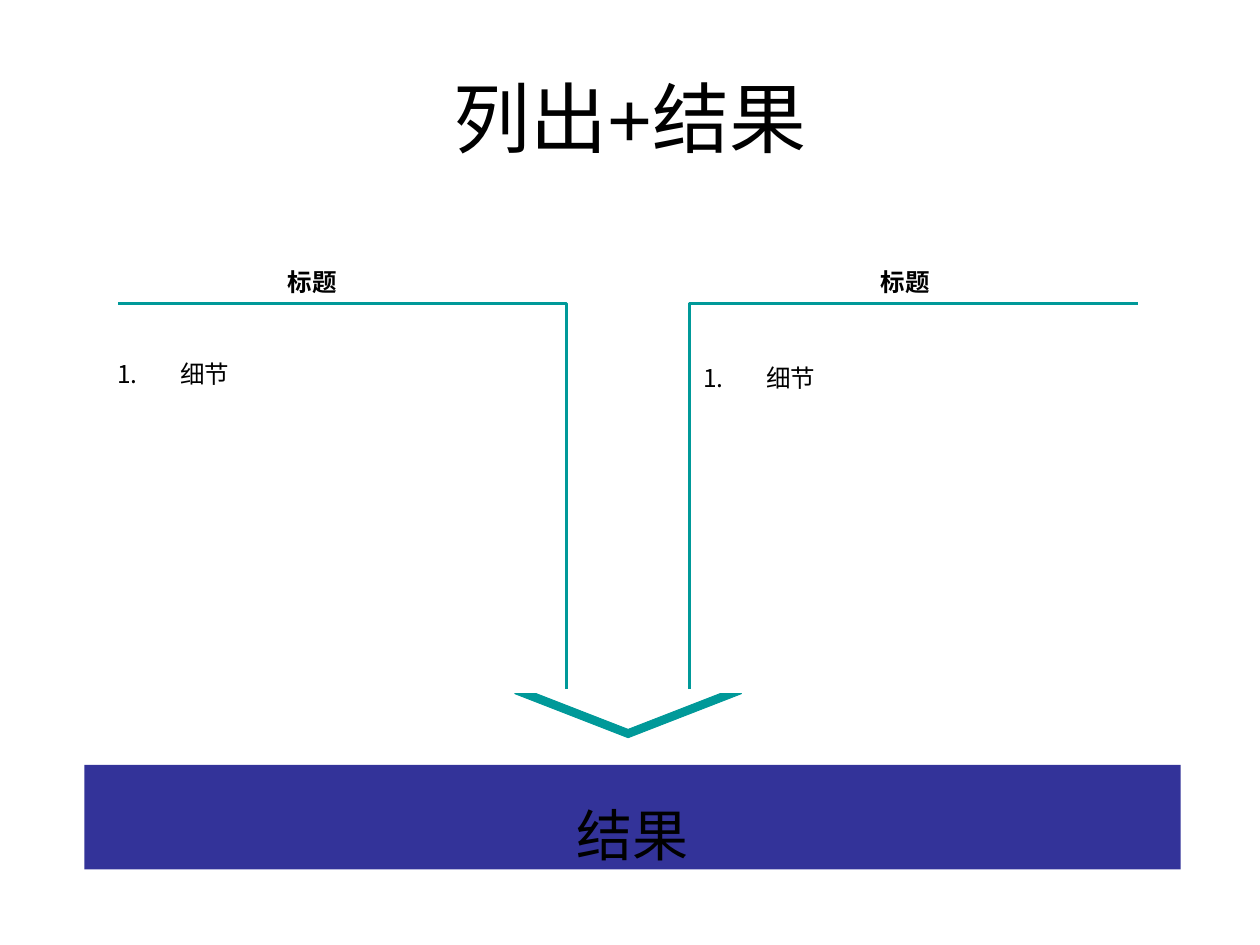
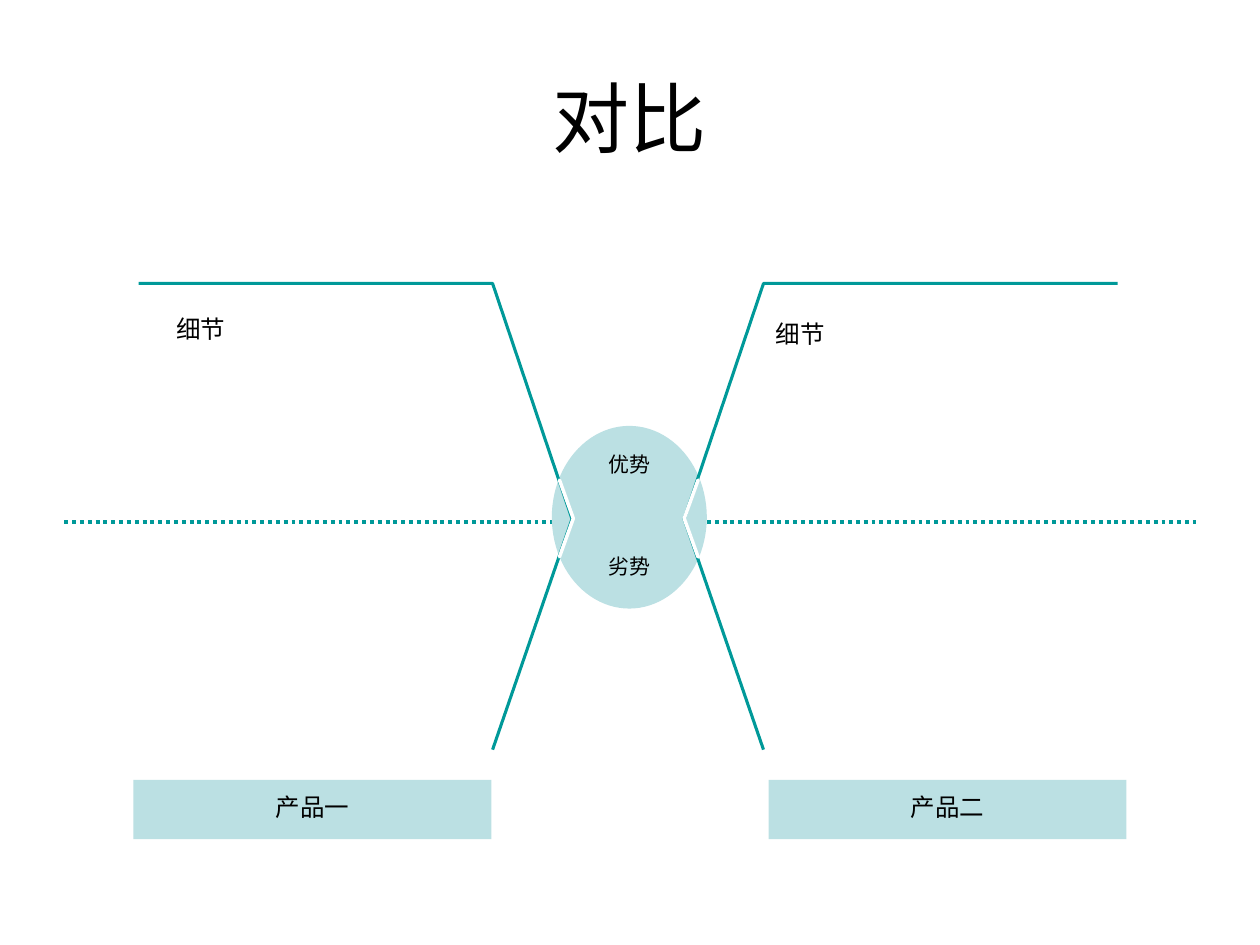
"""Build two slides: a list with its result, and a comparison."""
import typing
from dataclasses import dataclass

import lxml.etree
import pptx
import pptx.dml.color
import pptx.enum.dml
import pptx.enum.shapes
import pptx.enum.text
import pptx.oxml.ns
import pptx.util

PX = 9144
AXIS = 997
KIND = pptx.enum.shapes.MSO_SHAPE
ALIGN = pptx.enum.text.PP_ALIGN
ANCHOR = pptx.enum.text.MSO_ANCHOR


@dataclass(frozen=True)
class Theme:
    """Colours and type sizes of the deck."""
    font: str = "Arial"
    ink: str = "000000"
    white: str = "FFFFFF"
    teal: str = "009999"
    pale: str = "BBE0E3"
    navy: str = "333399"
    title: int = 44
    large: int = 32
    text: int = 14
    small: int = 12


class Box(typing.NamedTuple):
    """A place on the slide in px."""
    x: int
    y: int
    w: int
    h: int


class Label(typing.NamedTuple):
    """A text and its place."""
    text: str
    box: Box


THEME = Theme()
TITLE = Box(50, 30, 900, 125)
HEADS = [Label("标题", Box(116, 202, 264, 38)), Label("标题", Box(586, 202, 265, 38))]
LISTS = [Label("细节", Box(83, 280, 365, 33)), Label("细节", Box(548, 283, 355, 33))]
NOTES = [Label("细节", Box(130, 249, 260, 291)), Label("细节", Box(606, 253, 288, 307))]
GOODS = [Label("产品一", Box(106, 619, 284, 47)), Label("产品二", Box(610, 619, 284, 47))]
ELBOW = [(450, 547), (450, 241), (94, 241)]
FUNNEL = [(110, 225), (391, 225), (454, 412), (391, 595)]


def tint(code: str) -> pptx.dml.color.RGBColor:
    """Turn a hex code into a colour."""
    return pptx.dml.color.RGBColor.from_string(code)


def scale(box: Box) -> list[pptx.util.Emu]:
    """Turn a box into EMU lengths."""
    return [pptx.util.Emu(side * PX) for side in box]


def write(shape, text: str, *, size: int = THEME.text, bold: bool = False,
          align=ALIGN.CENTER, anchor=ANCHOR.TOP, lead: float = 1.0,
          gap: int = 0, wrap: bool = True, count: bool = False) -> None:
    """Fill a shape with formatted lines of text."""
    frame = shape.text_frame
    frame.auto_size = pptx.enum.text.MSO_AUTO_SIZE.NONE
    frame.word_wrap = wrap
    frame.vertical_anchor = anchor
    for i, line in enumerate(text.split("\n")):
        para = frame.add_paragraph() if i else frame.paragraphs[0]
        if count:
            props = para._p.get_or_add_pPr()
            props.set("marL", str(50 * PX))
            props.set("indent", str(-50 * PX))
            mark = lxml.etree.SubElement(props, pptx.oxml.ns.qn("a:buAutoNum"))
            mark.set("type", "arabicPeriod")
        para.alignment = align
        para.line_spacing = lead
        para.space_before = pptx.util.Pt(gap if i else 0)
        run = para.add_run()
        run.text = line
        run.font.name = THEME.font
        run.font.size = pptx.util.Pt(size)
        run.font.bold = bold
        run.font.color.rgb = tint(THEME.ink)


def place(shape, box: Box):
    """Move a placeholder to a box."""
    shape.left, shape.top, shape.width, shape.height = scale(box)
    return shape


def start(deck, layout: int, title: str):
    """Add a slide with its title."""
    slide = deck.slides.add_slide(deck.slide_layouts[layout])
    write(place(slide.shapes.title, TITLE), title, size=THEME.title, anchor=ANCHOR.MIDDLE)
    return slide


def draw(slide, kind, box: Box, fill: str, edge: str = "", width: float = 0,
         ratios: typing.Sequence[float] = (), turn: int = 0):
    """Add a filled preset shape."""
    shape = slide.shapes.add_shape(kind, *scale(box))
    shape.shadow.inherit = False
    shape.fill.solid()
    shape.fill.fore_color.rgb = tint(fill)
    if edge:
        shape.line.color.rgb = tint(edge)
        shape.line.width = pptx.util.Pt(width)
    else:
        shape.line.fill.background()
    for i, ratio in enumerate(ratios):
        shape.adjustments[i] = ratio
    shape.rotation = turn
    return shape


def trace(slide, points: list[tuple[int, int]]) -> None:
    """Draw an open outline and its mirror image."""
    for path_pts in (points, [(AXIS - x, y) for x, y in points]):
        pen = slide.shapes.build_freeform(*path_pts[0], scale=float(PX))
        pen.add_line_segments(path_pts[1:], close=False)
        shape = pen.convert_to_shape()
        shape.shadow.inherit = False
        shape.fill.background()
        shape.line.color.rgb = tint(THEME.teal)
        shape.line.width = pptx.util.Pt(1.75)


def dots(slide, left: int, right: int, y: int) -> None:
    """Draw a level dotted line."""
    ends = [pptx.util.Emu(n * PX) for n in (left, y, right, y)]
    link = slide.shapes.add_connector(pptx.enum.shapes.MSO_CONNECTOR.STRAIGHT, *ends)
    link.line.color.rgb = tint(THEME.teal)
    link.line.width = pptx.util.Pt(2.25)
    link.line.dash_style = pptx.enum.dml.MSO_LINE.ROUND_DOT
    lxml.etree.SubElement(link._element.spPr, pptx.oxml.ns.qn("a:effectLst"))


def result(deck) -> None:
    """Build the slide of two lists and a result."""
    slide = start(deck, 3, "列出+结果")
    band = draw(slide, KIND.RECTANGLE, Box(67, 607, 870, 83), THEME.navy)
    write(band, "结果", size=THEME.large, anchor=ANCHOR.MIDDLE, lead=1.5)
    draw(slide, KIND.NOTCHED_RIGHT_ARROW, Box(481, 478, 35, 180), THEME.teal,
         THEME.teal, 0.5, (0.81, 1), 90)
    trace(slide, ELBOW)
    for head in HEADS:
        write(slide.shapes.add_textbox(*scale(head.box)), head.text, bold=True, lead=1.2)
    for i, item in enumerate(LISTS, 1):
        write(place(slide.placeholders[i], item.box), item.text,
              align=ALIGN.LEFT, count=True)


def versus(deck) -> None:
    """Build the slide that compares two products."""
    slide = start(deck, 5, "对比")
    dots(slide, 51, 949, 414)
    hub = draw(slide, KIND.OVAL, Box(438, 338, 123, 145), THEME.pale)
    hub.text_frame.margin_left = hub.text_frame.margin_right = 0
    hub.text_frame.margin_top = hub.text_frame.margin_bottom = 0
    write(hub, "优势\n劣势", size=THEME.small, anchor=ANCHOR.MIDDLE,
          lead=0.8, gap=47, wrap=False)
    trace(slide, FUNNEL)
    for x, turn in ((444, 0), (543, 180)):
        draw(slide, KIND.CHEVRON, Box(x, 381, 11, 61), THEME.pale,
             THEME.white, 2, (1,), turn)
    for good in GOODS:
        write(draw(slide, KIND.RECTANGLE, good.box, THEME.pale), good.text,
              anchor=ANCHOR.MIDDLE, lead=0.8, wrap=False)
    for note in NOTES:
        write(slide.shapes.add_textbox(*scale(note.box)), note.text,
              align=ALIGN.LEFT, lead=0.8)


def main() -> None:
    """Build and save the deck."""
    deck = pptx.Presentation()
    deck.slide_width = pptx.util.Emu(1000 * PX)
    deck.slide_height = pptx.util.Emu(750 * PX)
    result(deck)
    versus(deck)
    deck.save("out.pptx")


if __name__ == "__main__":
    main()
